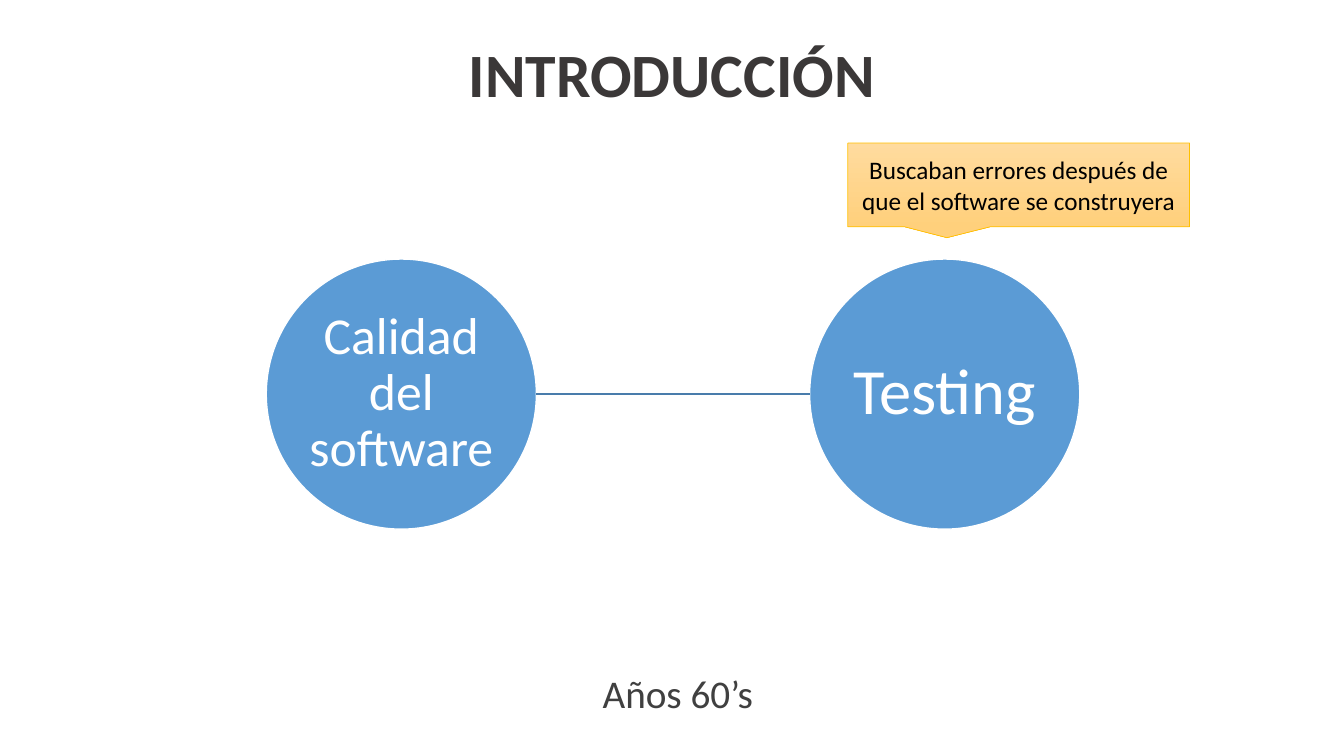
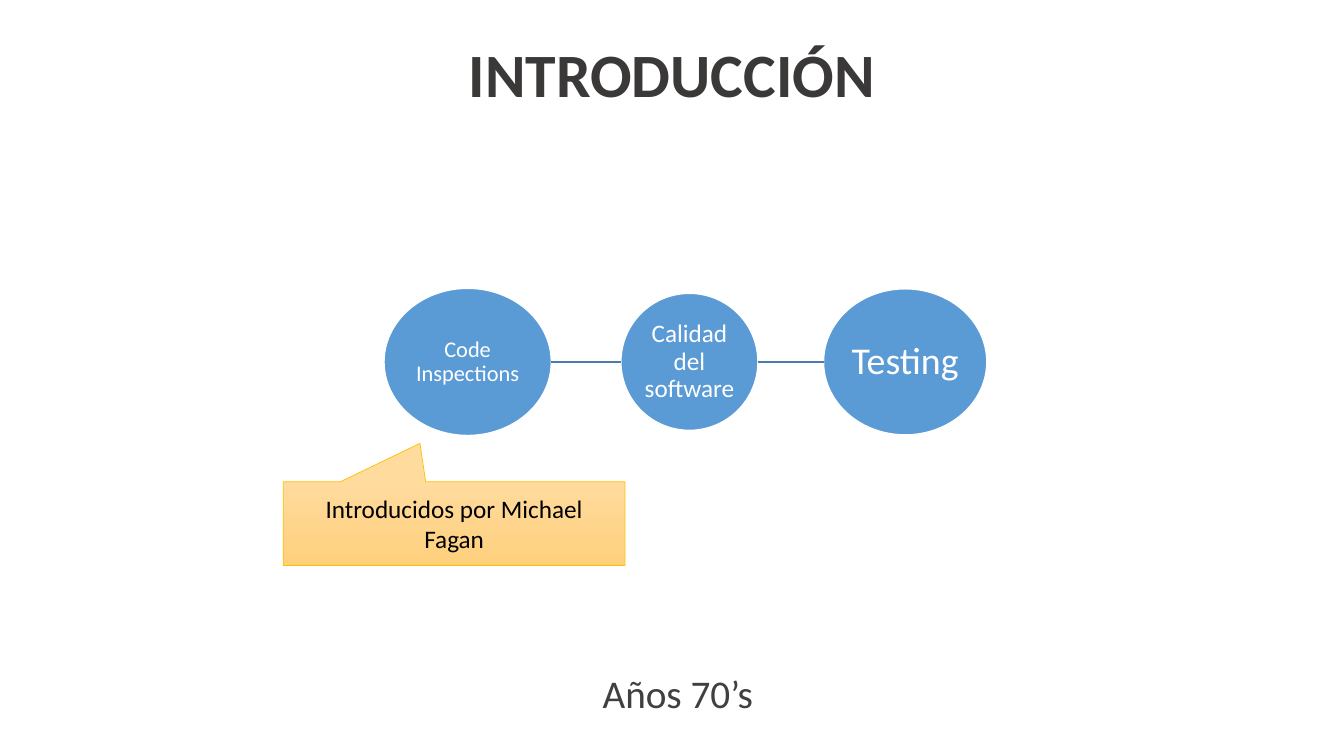
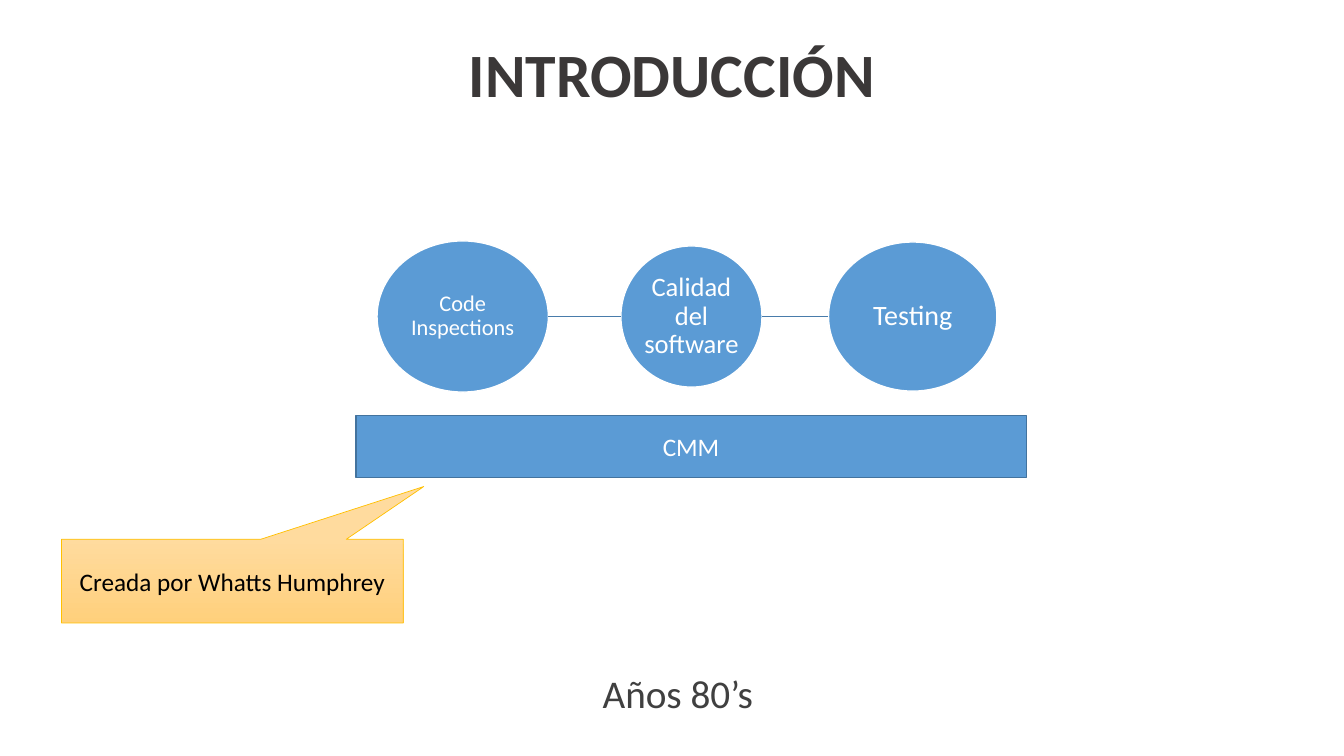
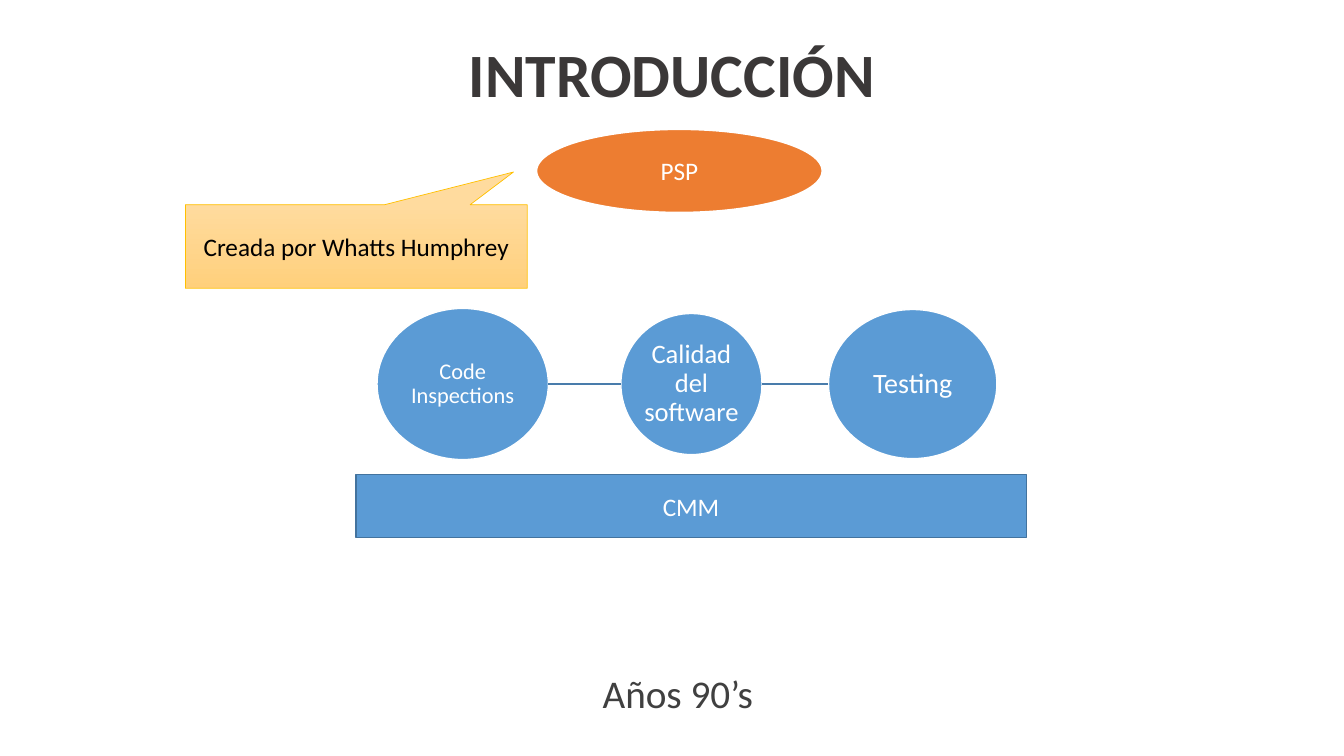
from dataclasses import dataclass

from pptx import Presentation
from pptx.dml.color import RGBColor
from pptx.enum.shapes import MSO_CONNECTOR, MSO_SHAPE
from pptx.enum.text import MSO_ANCHOR, MSO_AUTO_SIZE, PP_ALIGN
from pptx.oxml.ns import qn
from pptx.util import Inches, Pt
from lxml.etree import SubElement


@dataclass(frozen=True)
class Theme:
    """Colours, font and type sizes of the deck."""
    font: str = "Calibri"
    title: str = "3B3838"
    era: str = "404040"
    node: str = "5B9BD5"
    bar_edge: str = "43739E"
    link: str = "497CAB"
    accent: str = "ED7D31"
    note_top: str = "FFDB9E"
    note_bottom: str = "FFD07C"
    note_edge: str = "FFC000"
    light: str = "FFFFFF"
    dark: str = "000000"
    title_size: int = 44
    era_size: int = 28
    body_size: int = 18


THEME = Theme()

# Lengths are columns and rows of a 100 x 100 grid over the slide.
WIDTH, HEIGHT = Inches(13.333), Inches(7.5)
COLUMN, ROW = WIDTH / 100, HEIGHT / 100
TITLE_BOX = (0, 0, 100, 20.4)
ERA_BOX = (44.1, 87.87, 12.9, 7.6)
NOTE_SIZE = (25.43, 11.07)
BAR_LEFT, BAR_SIZE = 26.48, (49.88, 8.27)
PSP_BOX = (39.9, 17.07, 21.3, 11.07)

TITLE = "INTRODUCCIÓN"
QUALITY, TESTING, INSPECTIONS = "Calidad del software", "Testing", "Code Inspections"

# Node: text, type size, centre column, columns wide, rows high
PAIR = [(QUALITY, 37, 29.86, 20.1, 35.73), (TESTING, 46, 70.29, 20.1, 35.73)]
TRIO = [(INSPECTIONS, 16, 34.8, 12.45, 19.47),
        (QUALITY, 18, 51.3, 10.2, 18.13),
        (TESTING, 27, 67.35, 12.15, 19.33)]
WIDE_TRIO = [(INSPECTIONS, 16, 34.43, 12.75, 20),
             (QUALITY, 19, 51.45, 10.5, 18.67),
             (TESTING, 20, 67.91, 12.53, 19.73)]

# Note: text, (left, top), tip as shares of the note's size from its centre
DECADES = [
    dict(era="Años 60’s", nodes=PAIR, axis=52.13,
         note=("Buscaban errores después de que el software se construyera",
               (63.08, 18.93), (-0.21, 0.63))),
    dict(era="Años 70’s", nodes=TRIO, axis=47.87,
         note=("Introducidos por Michael Fagan", (21.08, 63.73), (-0.1, -0.96))),
    dict(era="Años 80’s", nodes=WIDE_TRIO, axis=41.87, bar=("CMM", 54.93),
         note=("Creada por Whatts Humphrey", (4.58, 71.33), (0.56, -1.13))),
    dict(era="Años 90’s", nodes=WIDE_TRIO, axis=50.8, bar=("CMM", 62.8), oval="PSP",
         note=("Creada por Whatts Humphrey", (13.8, 27.07), (0.46, -0.89))),
]


def rgb(code):
    """Turn a hex code into a colour."""
    return RGBColor.from_string(code)


def on_grid(left, top, width, height):
    """Turn grid cells into slide lengths."""
    return (round(left * COLUMN), round(top * ROW),
            round(width * COLUMN), round(height * ROW))


def write(holder, text, *, size=THEME.body_size, color=THEME.light, bold=False,
          align=PP_ALIGN.CENTER, anchor=MSO_ANCHOR.MIDDLE, spacing=None,
          inset=None, wrap=True):
    """Put formatted text in a shape."""
    frame = holder.text_frame
    frame.word_wrap = wrap
    frame.vertical_anchor = anchor
    if inset is not None:
        frame.margin_left = frame.margin_right = Inches(inset)
        frame.margin_top = frame.margin_bottom = Inches(inset)
    paragraph = frame.paragraphs[0]
    paragraph.alignment = align
    paragraph.line_spacing = spacing
    run = paragraph.add_run()
    run.text = text
    font = run.font
    font.name, font.size, font.bold = THEME.font, Pt(size), bold
    font.color.rgb = rgb(color)


def add_block(slide, preset, box, *, fill, edge, weight=1):
    """Add a flat preset shape; a pair of fills makes a downward gradient."""
    block = slide.shapes.add_shape(preset, *on_grid(*box))
    block.shadow.inherit = False
    if isinstance(fill, tuple):
        block.fill.gradient()
        block.fill.gradient_angle = 270
        for stop, code in zip(block.fill.gradient_stops, fill):
            stop.color.rgb = rgb(code)
    else:
        block.fill.solid()
        block.fill.fore_color.rgb = rgb(fill)
    block.line.color.rgb = rgb(edge)
    block.line.width = Pt(weight)
    return block


def add_link(slide, start, end, axis):
    """Draw a level line between two columns."""
    x, y, length, _ = on_grid(start, axis, end - start, 0)
    link = slide.shapes.add_connector(MSO_CONNECTOR.STRAIGHT, x, y, x + length, y)
    link.line.color.rgb = rgb(THEME.link)
    link.line.width = Pt(1)
    SubElement(link._element.spPr, qn("a:effectLst"))


def add_chain(slide, nodes, axis):
    """Place the ellipses on one axis and link each to the next."""
    previous_right = None
    for text, size, centre, width, height in nodes:
        left = centre - width / 2
        node = add_block(slide, MSO_SHAPE.OVAL,
                         (left, axis - height / 2, width, height),
                         fill=THEME.node, edge=THEME.light)
        write(node, text, size=size, spacing=0.9, inset=0.01)
        if previous_right is not None:
            add_link(slide, previous_right, left, axis)
        previous_right = left + width


def add_note(slide, text, corner, tip):
    """Add a callout whose tip points at its subject."""
    note = add_block(slide, MSO_SHAPE.RECTANGULAR_CALLOUT, corner + NOTE_SIZE,
                     fill=(THEME.note_top, THEME.note_bottom),
                     edge=THEME.note_edge, weight=0.5)
    for index, share in enumerate(tip):
        note.adjustments[index] = share
    write(note, text, color=THEME.dark)


def add_frame(slide, era):
    """Set the title and the decade that every slide carries."""
    heading = slide.shapes.title
    heading.left, heading.top, heading.width, heading.height = on_grid(*TITLE_BOX)
    write(heading, TITLE, size=THEME.title_size, color=THEME.title, bold=True,
          spacing=0.9)
    label = slide.shapes.add_textbox(*on_grid(*ERA_BOX))
    write(label, era, size=THEME.era_size, color=THEME.era, align=PP_ALIGN.LEFT,
          anchor=MSO_ANCHOR.TOP, wrap=False)
    label.text_frame.auto_size = MSO_AUTO_SIZE.SHAPE_TO_FIT_TEXT


def add_decade(deck, era, nodes, axis, note, bar=None, oval=None):
    """Build the slide of one decade."""
    slide = deck.slides.add_slide(deck.slide_layouts[5])
    add_frame(slide, era)
    add_chain(slide, nodes, axis)
    add_note(slide, *note)
    if bar:
        text, top = bar
        base = add_block(slide, MSO_SHAPE.RECTANGLE, (BAR_LEFT, top) + BAR_SIZE,
                         fill=THEME.node, edge=THEME.bar_edge)
        write(base, text)
    if oval:
        crown = add_block(slide, MSO_SHAPE.OVAL, PSP_BOX, fill=THEME.accent,
                          edge=THEME.light, weight=1.5)
        write(crown, oval)


def main():
    """Build and save the deck."""
    deck = Presentation()
    deck.slide_width, deck.slide_height = WIDTH, HEIGHT
    for decade in DECADES:
        add_decade(deck, **decade)
    deck.save("out.pptx")


main()
